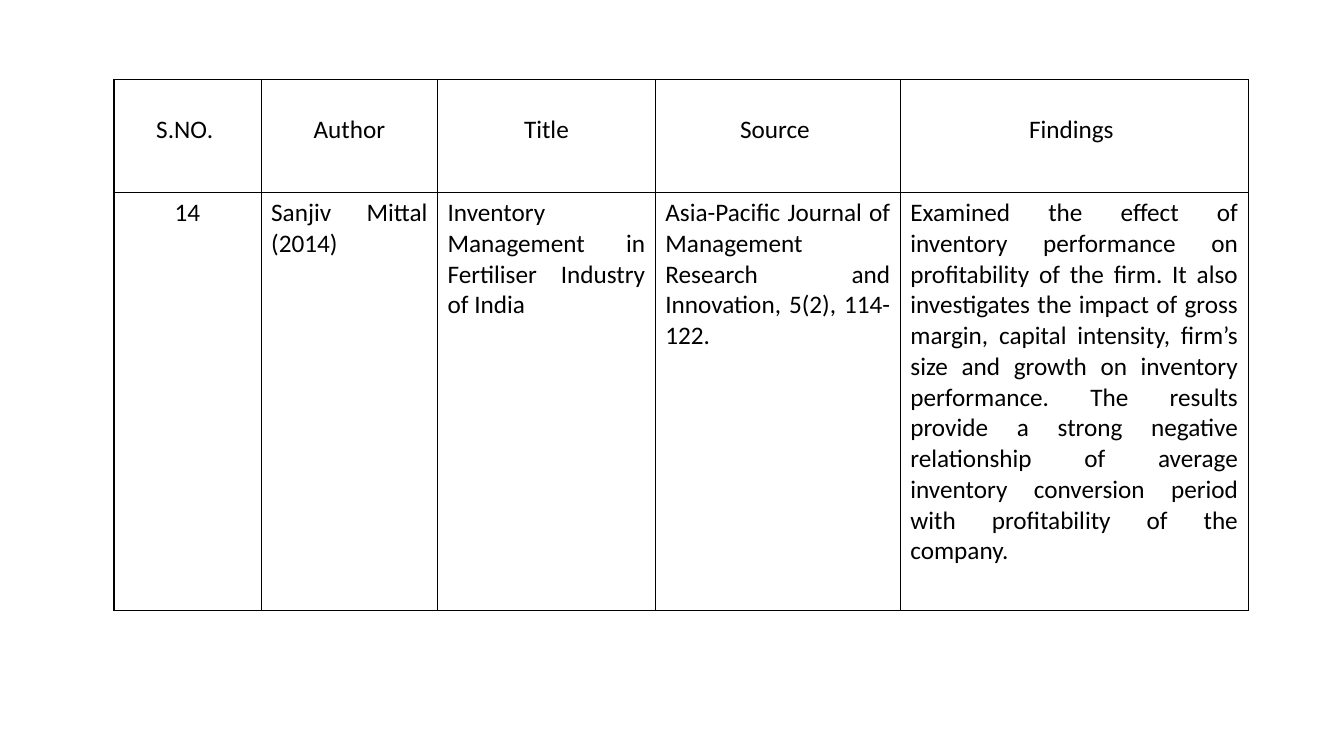
from lxml.etree import SubElement
from pptx import Presentation
from pptx.dml.color import RGBColor
from pptx.enum.text import PP_ALIGN as Align
from pptx.oxml.ns import qn
from pptx.util import Inches, Pt

HEADINGS = ["S.NO. ", "Author", "Title", "Source ", "Findings "]
STUDY = [
    "14",
    "Sanjiv Mittal (2014)",
    "Inventory Management in Fertiliser Industry of India",
    "Asia-Pacific Journal of Management Research and Innovation, 5(2), 114-122.",
    "Examined the effect of inventory performance on profitability of the firm. "
    "It also investigates the impact of gross margin, capital intensity, firm’s size "
    "and growth on inventory performance. The results provide a strong negative "
    "relationship of average inventory conversion period with profitability of the company.",
]
COLUMN_WIDTHS = [1.46, 1.75, 2.16, 2.43, 3.45]
ROW_HEIGHTS = [1.12, 4.15]
LEFT, TOP = 1.13, 0.79
HEADING_MARGIN = 0.35

THEME = {
    "font": {"name": "Calibri", "size": Pt(18), "bold": False},
    "ink": "000000",
    "border": Pt(1),
}


def add_borders(cell):
    properties = cell._tc.get_or_add_tcPr()
    for side in ("lnL", "lnR", "lnT", "lnB"):
        line = SubElement(properties, qn(f"a:{side}"), w=str(THEME["border"]))
        fill = SubElement(line, qn("a:solidFill"))
        SubElement(fill, qn("a:srgbClr"), val=THEME["ink"])


def fill_cell(cell, text, align):
    add_borders(cell)
    cell.fill.background()
    para = cell.text_frame.paragraphs[0]
    para.alignment = align
    span = para.add_run()
    span.text = text
    for name, value in THEME["font"].items():
        setattr(span.font, name, value)
    span.font.color.rgb = RGBColor.from_string(THEME["ink"])


def main():
    deck = Presentation()
    deck.slide_width, deck.slide_height = Inches(13.33), Inches(7.5)
    page = deck.slides.add_slide(deck.slide_layouts[6])
    rows = [HEADINGS, STUDY]
    table = page.shapes.add_table(
        len(rows), len(HEADINGS), Inches(LEFT), Inches(TOP),
        Inches(sum(COLUMN_WIDTHS)), Inches(sum(ROW_HEIGHTS)),
    ).table
    table.first_row = table.horz_banding = False
    for column, width in zip(table.columns, COLUMN_WIDTHS):
        column.width = Inches(width)
    for row, height in zip(table.rows, ROW_HEIGHTS):
        row.height = Inches(height)
    for row_index, texts in enumerate(rows):
        for column_index, text in enumerate(texts):
            cell = table.cell(row_index, column_index)
            centred = row_index == 0 or column_index == 0
            fill_cell(cell, text, Align.CENTER if centred else Align.JUSTIFY)
            if row_index == 0:
                cell.margin_top = Inches(HEADING_MARGIN)
    deck.save("out.pptx")


if __name__ == "__main__":
    main()
